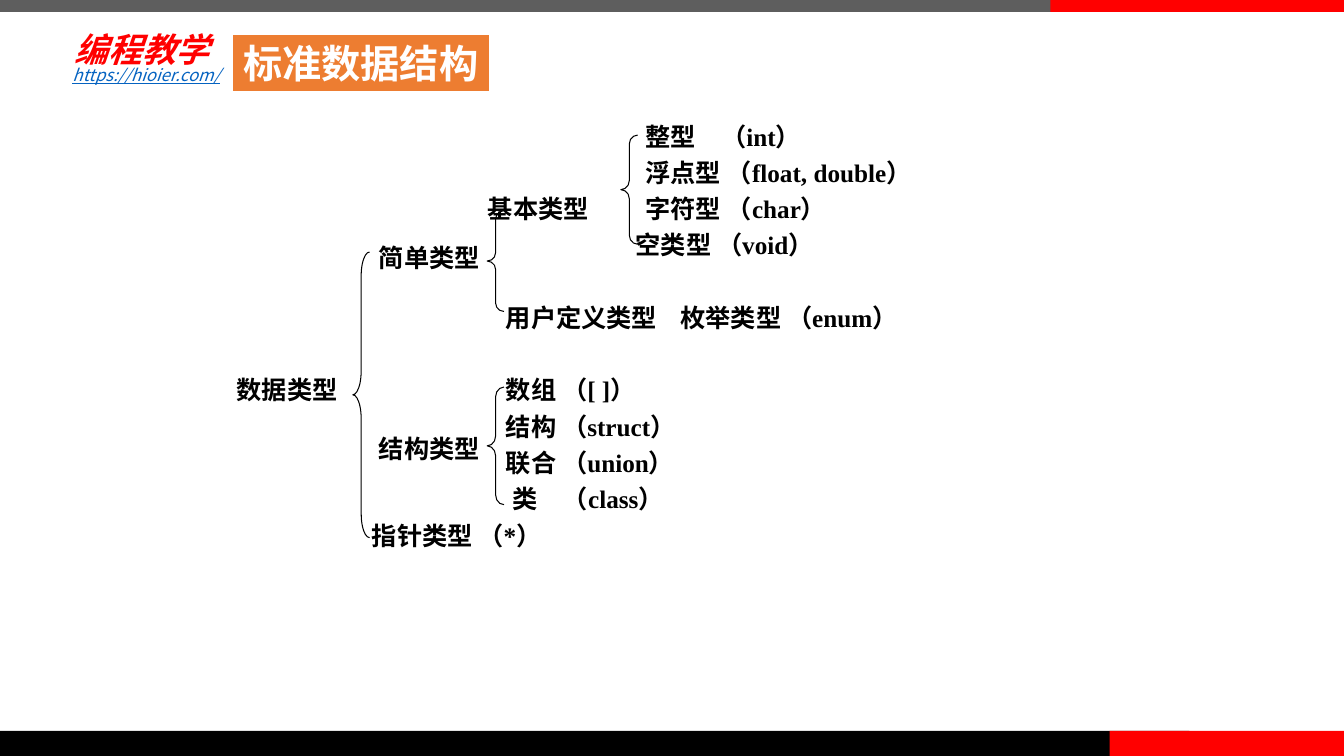
"""Build a slide that shows the tree of standard data types."""
from dataclasses import dataclass, field

import lxml.etree
import pptx
import pptx.dml.color
import pptx.enum.shapes
import pptx.enum.text
import pptx.oxml.ns
import pptx.presentation
import pptx.shapes.autoshape
import pptx.slide
import pptx.text.text
import pptx.util

Pt = pptx.util.Pt
SHAPES = pptx.enum.shapes.MSO_SHAPE
ALIGN = pptx.enum.text.PP_ALIGN
ANCHOR = pptx.enum.text.MSO_ANCHOR
COLORS = {"grey": "5E5E5E", "black": "000000", "red": "FF0000",
          "blue": "0563C1", "orange": "ED7D31", "white": "FFFFFF"}
CJK_FONT = "Noto Sans CJK SC"
TREE_FONT = {"name": "Times New Roman", "size": Pt(18), "bold": True}
BLANK_LINE = 25.9
NAME, KIND, MEMBER = 292, 179.4, 192.3


@dataclass(frozen=True)
class Box:
    left: float
    top: float
    width: float
    height: float

    def lengths(self) -> list[pptx.util.Length]:
        return [Pt(value) for value in (self.left, self.top, self.width, self.height)]


@dataclass(frozen=True)
class Bar:
    box: Box
    color: str


@dataclass(frozen=True)
class Label:
    box: Box
    text: str
    color: str
    font: dict
    frame: dict = field(default_factory=dict)
    align: ALIGN = ALIGN.LEFT


@dataclass(frozen=True)
class TreeRow:
    cells: tuple[tuple[float, str], ...]
    gap: float = 0


BARS = [
    Bar(Box(0, 0, 778.3, 8.6), "grey"),
    Bar(Box(0, 522, 849.6, 18), "black"),
    Bar(Box(792.7, 522, 167.3, 18), "red"),
    Bar(Box(750.4, 0, 209.6, 8.6), "red"),
]
INSETS = {side: Pt(4.5) for side in
          ("margin_left", "margin_top", "margin_right", "margin_bottom")}
CENTRED = {"word_wrap": False}
LABELS = [
    Label(Box(49, 16.5, 133, 37.5), "编程教学", "red",
          {"name": "Lato", "size": Pt(24), "bold": True, "italic": True},
          {"vertical_anchor": ANCHOR.MIDDLE, **INSETS}),
    Label(Box(44.6, 42.5, 480, 21.6), "https://hioier.com/", "blue",
          {"name": CJK_FONT, "size": Pt(12), "italic": True, "underline": True}),
    Label(Box(263.5, 169.2, 86.4, 28.8), "简单类型", "black", TREE_FONT, CENTRED, ALIGN.CENTER),
    Label(Box(263.5, 306, 86.4, 28.8), "结构类型", "black", TREE_FONT, CENTRED, ALIGN.CENTER),
]
TITLE = Label(Box(165.6, 24.5, 184.3, 41), "标准数据结构", "white",
              {"name": CJK_FONT, "size": Pt(28), "bold": True},
              {"vertical_anchor": ANCHOR.TOP, **CENTRED}, ALIGN.CENTER)
TREE_BOX = Box(162, 78.5, 522, 319)
TREE_ROWS = [
    TreeRow(((NAME, "整型"), (346, "（int）"))),
    TreeRow(((NAME, "浮点型 （float, double）"),)),
    TreeRow(((KIND, "基本类型"), (NAME, "字符型 （char）"))),
    TreeRow(((285, "空类型 （void）"),)),
    TreeRow(((MEMBER, "用户定义类型"), (317, "枚举类型 （enum）")), BLANK_LINE),
    TreeRow(((0, "数据类型"), (MEMBER, "数组 （[ ]）")), BLANK_LINE),
    TreeRow(((MEMBER, "结构 （struct）"),)),
    TreeRow(((MEMBER, "联合 （union）"),)),
    TreeRow(((197, "类"), (233, "（class）"))),
    TreeRow(((96.5, "指针类型 （*）"),)),
]
BRACES = [Box(252, 180, 12, 204), Box(348, 150.5, 12, 72),
          Box(443.5, 96.5, 12, 78), Box(348, 276.5, 12, 84)]


def rgb(name: str) -> pptx.dml.color.RGBColor:
    return pptx.dml.color.RGBColor.from_string(COLORS[name])


def apply(target: object, values: dict) -> None:
    for key, value in values.items():
        setattr(target, key, value)


def add_text(paragraph: pptx.text.text._Paragraph, text: str, font: dict, color: str) -> None:
    run = paragraph.add_run()
    run.text = text
    apply(run.font, font)
    run.font.color.rgb = rgb(color)
    east_asian = lxml.etree.Element(pptx.oxml.ns.qn("a:ea"), typeface=CJK_FONT)
    run.font._element.find(pptx.oxml.ns.qn("a:latin")).addnext(east_asian)


def fill_label(shape: pptx.shapes.autoshape.Shape, label: Label) -> None:
    apply(shape.text_frame, {"word_wrap": True, **label.frame})
    paragraph = shape.text_frame.paragraphs[0]
    paragraph.alignment = label.align
    add_text(paragraph, label.text, label.font, label.color)


def add_bar(slide: pptx.slide.Slide, bar: Bar) -> pptx.shapes.autoshape.Shape:
    shape = slide.shapes.add_shape(SHAPES.RECTANGLE, *bar.box.lengths())
    shape.shadow.inherit = False
    shape.fill.solid()
    shape.fill.fore_color.rgb = rgb(bar.color)
    shape.line.fill.background()
    return shape


def add_title(slide: pptx.slide.Slide, title: Label) -> None:
    shape = add_bar(slide, Bar(title.box, "orange"))
    shape.line.color.rgb = rgb("white")
    shape.line.width = Pt(1.5)
    fill_label(shape, title)


def add_tree(slide: pptx.slide.Slide, rows: list[TreeRow]) -> None:
    frame = slide.shapes.add_textbox(*TREE_BOX.lengths()).text_frame
    frame.word_wrap = True
    for index, row in enumerate(rows):
        paragraph = frame.add_paragraph() if index else frame.paragraphs[0]
        properties = paragraph._p.get_or_add_pPr()
        stops = lxml.etree.SubElement(properties, pptx.oxml.ns.qn("a:tabLst"))
        for stop, _ in row.cells:
            if stop:
                lxml.etree.SubElement(stops, pptx.oxml.ns.qn("a:tab"),
                                      pos=str(Pt(stop)), algn="l")
        apply(paragraph, {"line_spacing": 1.2, "space_before": Pt(row.gap)})
        text = "".join(("\t" if stop else "") + cell for stop, cell in row.cells)
        add_text(paragraph, text, TREE_FONT, "black")


def add_brace(slide: pptx.slide.Slide, box: Box) -> None:
    brace = slide.shapes.add_shape(SHAPES.LEFT_BRACE, *box.lengths())
    brace.shadow.inherit = False
    brace.adjustments[0] = box.height / box.width / 12
    brace.fill.background()
    brace.line.color.rgb = rgb("black")
    brace.line.width = Pt(0.75)


def main() -> None:
    deck: pptx.presentation.Presentation = pptx.Presentation()
    deck.slide_width, deck.slide_height = Pt(960), Pt(540)
    slide = deck.slides.add_slide(deck.slide_layouts[6])
    for bar in BARS:
        add_bar(slide, bar)
    add_tree(slide, TREE_ROWS)
    for brace in BRACES:
        add_brace(slide, brace)
    for label in LABELS:
        fill_label(slide.shapes.add_textbox(*label.box.lengths()), label)
    add_title(slide, TITLE)
    deck.save("out.pptx")


if __name__ == "__main__":
    main()
